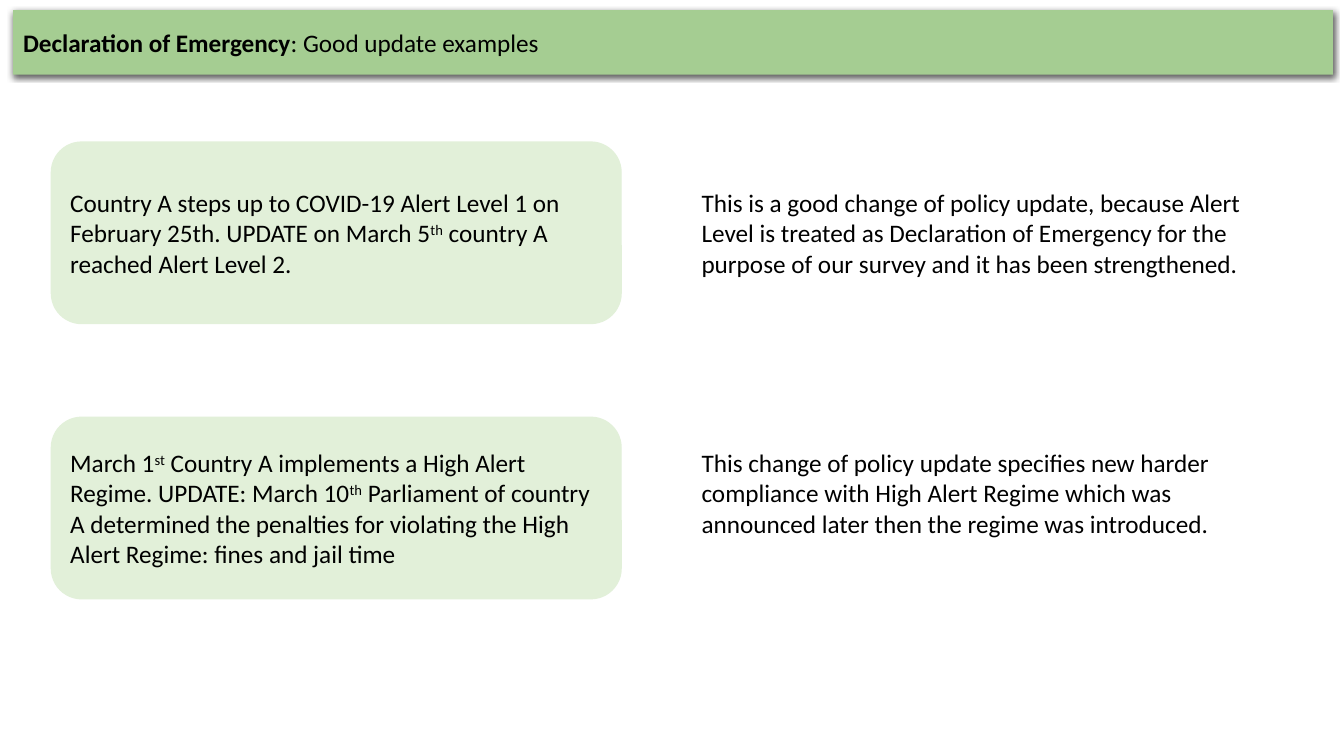
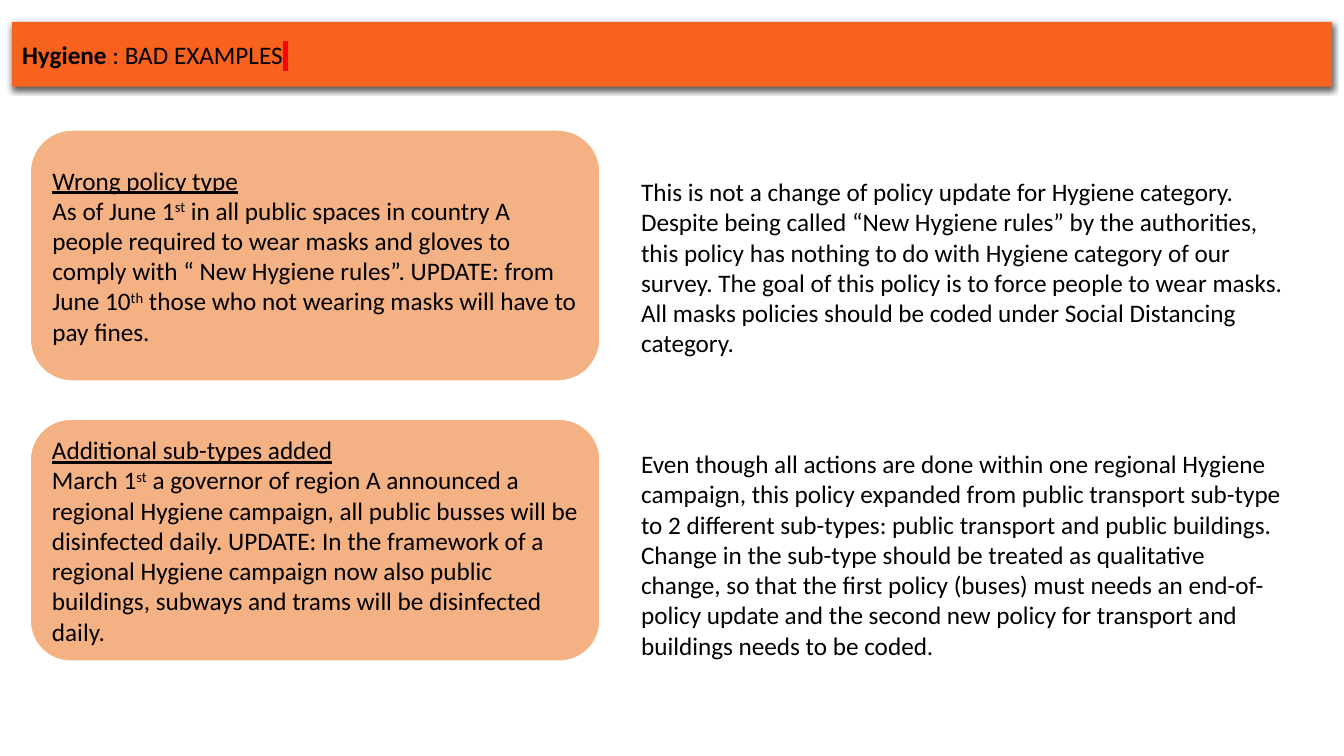
from lxml import etree
from pptx import Presentation
from pptx.dml.color import RGBColor
from pptx.enum.shapes import MSO_SHAPE
from pptx.enum.text import MSO_ANCHOR, PP_ALIGN
from pptx.oxml import parse_xml
from pptx.oxml.ns import nsdecls, qn
from pptx.util import Emu, Pt

PX = 9144  # 100 px to the inch
FONT = "Calibri"
COLORS = {
    "text": "000000",
    "white": "FFFFFF",
    "good_band": "A5CD92",
    "good_card": "E2F0D9",
    "bad_band": "F8621F",
    "bad_card": "F4B183",
    "marker": "FF0000",
}
SHADOW = (
    f'<a:outerShdw {nsdecls("a")} blurRad="57150" dist="19050" dir="5400000" '
    'algn="ctr" rotWithShape="0"><a:srgbClr val="000000">'
    '<a:alpha val="63000"/></a:srgbClr></a:outerShdw>'
)

PAGES = [
    {
        "band": (13, 10, "good_band"),
        "title": [("Declaration of Emergency", "bold"), (": Good update examples", "")],
        "card": (51, 565, "good_card", "good_card"),
        "note": (686, 596),
        "rows": [
            {
                "card": (141, 180),
                "example": "Country A steps up to COVID-19 Alert Level 1 on February 25th. "
                           "UPDATE on March 5^th^ country A reached Alert Level 2.",
                "note": (181, 101),
                "comment": "This is a good change of policy update, because Alert Level is "
                           "treated as Declaration of Emergency for the purpose of our survey "
                           "and it has been strengthened.",
            },
            {
                "card": (414, 180),
                "example": "March 1^st^ Country A implements a High Alert Regime. UPDATE: "
                           "March 10^th^ Parliament of country A determined the penalties for "
                           "violating the High Alert Regime: fines and jail time",
                "note": (439, 131),
                "comment": "This change of policy update specifies new harder compliance with "
                           "High Alert Regime which was announced later then the regime was "
                           "introduced.",
            },
        ],
    },
    {
        "band": (12, 22, "bad_band"),
        "title": [("Hygiene ", "bold"), (": BAD EXAMPLES", ""), (" ", "marker")],
        "card": (30, 565, "bad_card", "white"),
        "note": (626, 659),
        "rows": [
            {
                "card": (129, 249),
                "heading": "Wrong policy type",
                "example": "As of June 1^st^ in all public spaces in country A people required "
                           "to wear masks and gloves to comply with “ New Hygiene rules”. "
                           "UPDATE: from June 10^th^ those who not wearing masks will have to "
                           "pay fines.",
                "note": (170, 192),
                "comment": "This is not a change of policy update for Hygiene category. Despite "
                           "being called “New Hygiene rules” by the authorities, this policy "
                           "has nothing to do with Hygiene category of our survey. The goal of "
                           "this policy is to force people to wear masks. All masks policies "
                           "should be coded under Social Distancing category.",
            },
            {
                "card": (416, 240),
                "heading": "Additional sub-types added",
                "example": "March 1^st^ a governor of region A announced a regional Hygiene "
                           "campaign, all public busses will be disinfected daily. UPDATE: In "
                           "the framework of a regional Hygiene campaign now also public "
                           "buildings, subways and trams will be disinfected daily.",
                "note": (440, 222),
                "comment": "Even though all actions are done within one regional Hygiene "
                           "campaign, this policy expanded from public transport sub-type to 2 "
                           "different sub-types: public transport and public buildings. Change "
                           "in the sub-type should be treated as qualitative change, so that "
                           "the first policy (buses) must needs an end-of-policy update and the "
                           "second new policy for transport and buildings needs to be coded.",
            },
        ],
    },
]


def write(box, paragraphs, anchor):
    """Fill a box with paragraphs, each a list of (text, style) spans."""
    frame = box.text_frame
    frame.word_wrap = True
    frame.vertical_anchor = anchor
    for index, spans in enumerate(paragraphs):
        para = frame.add_paragraph() if index else frame.paragraphs[0]
        para.alignment = PP_ALIGN.LEFT
        for text, style in spans:
            span = para.add_run()
            span.text = text
            font = span.font
            font.name, font.size = FONT, Pt(18)
            font.color.rgb = RGBColor.from_string(COLORS["text"])
            font.bold = style == "bold"
            font.underline = style == "underline"
            properties = span._r.get_or_add_rPr()
            if style == "superscript":
                properties.set("baseline", "30000")
            if style == "marker":
                highlight = etree.Element(qn("a:highlight"))
                etree.SubElement(highlight, qn("a:srgbClr"), val=COLORS["marker"])
                properties.find(qn("a:solidFill")).addnext(highlight)


def add_panel(page, preset, bounds, fill, line=None):
    panel = page.shapes.add_shape(preset, *[Emu(value * PX) for value in bounds])
    panel.shadow.inherit = False
    panel.fill.solid()
    panel.fill.fore_color.rgb = RGBColor.from_string(COLORS[fill])
    if line:
        panel.line.color.rgb = RGBColor.from_string(COLORS[line])
        panel.line.width = Pt(1)
    else:
        panel.line.fill.background()
    return panel


deck = Presentation()
deck.slide_width, deck.slide_height = Emu(1333 * PX), Emu(750 * PX)

for content in PAGES:
    page = deck.slides.add_slide(deck.slide_layouts[6])

    left, top, fill = content["band"]
    band = add_panel(page, MSO_SHAPE.RECTANGLE, (left, top, 1309, 64), fill)
    band._element.spPr.find(qn("a:effectLst")).append(parse_xml(SHADOW))
    write(band, [content["title"]], MSO_ANCHOR.MIDDLE)

    card_left, card_width, fill, line = content["card"]
    note_left, note_width = content["note"]
    for row in content["rows"]:
        top, height = row["card"]
        card = add_panel(page, MSO_SHAPE.ROUNDED_RECTANGLE,
                         (card_left, top, card_width, height), fill, line)
        # Text between carets is raised.
        example = [(part, "superscript" if index % 2 else "")
                   for index, part in enumerate(row["example"].split("^"))]
        heading = [[(row["heading"], "underline")]] if "heading" in row else []
        write(card, heading + [example], MSO_ANCHOR.MIDDLE)

        top, height = row["note"]
        bounds = (note_left, top, note_width, height)
        note = page.shapes.add_textbox(*[Emu(value * PX) for value in bounds])
        write(note, [[(row["comment"], "")]], MSO_ANCHOR.TOP)

deck.save("out.pptx")
